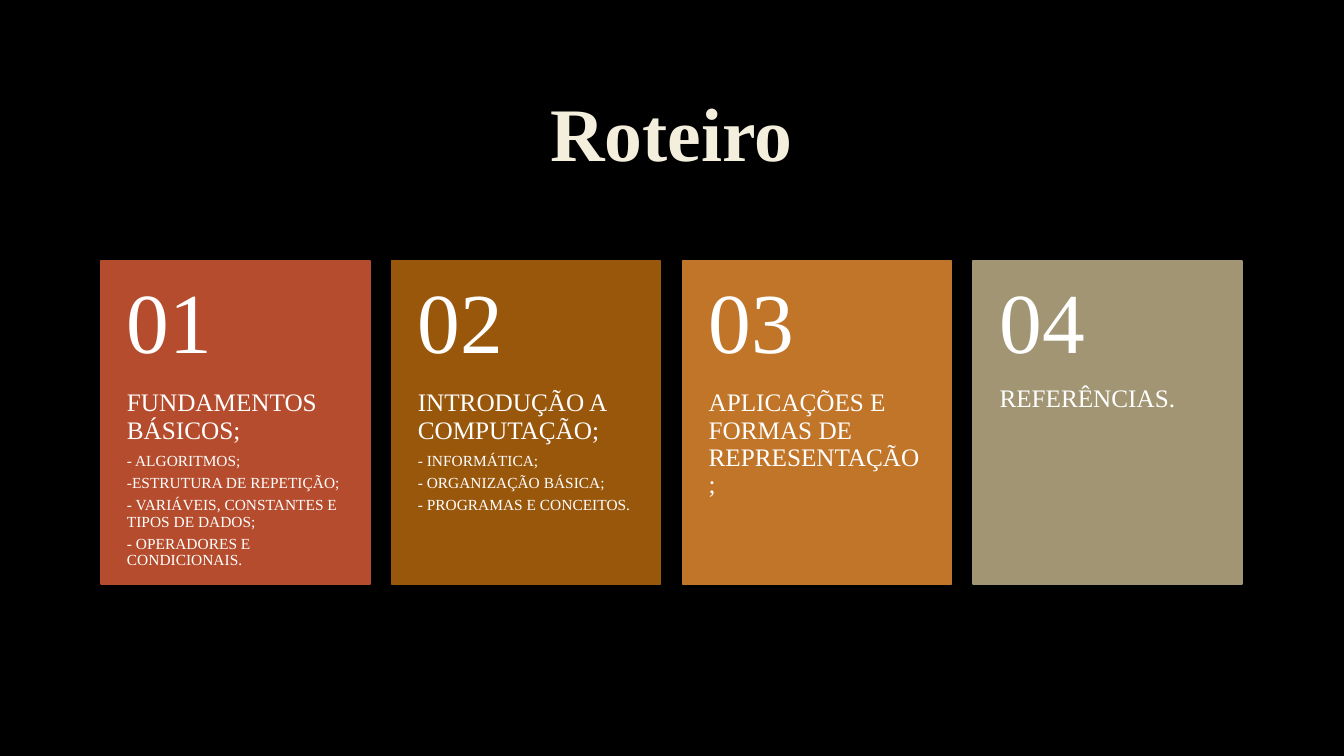
"""Build the agenda slide: a title above four numbered topic cards."""
from dataclasses import dataclass

from pptx import Presentation
from pptx.dml.color import RGBColor
from pptx.enum.shapes import MSO_SHAPE
from pptx.enum.text import MSO_ANCHOR, PP_ALIGN
from pptx.util import Cm, Pt

RECTANGLE = MSO_SHAPE.RECTANGLE
TOP, MIDDLE = MSO_ANCHOR.TOP, MSO_ANCHOR.MIDDLE
LEFT, CENTER = PP_ALIGN.LEFT, PP_ALIGN.CENTER


@dataclass(frozen=True)
class Theme:
    """Colours, font and type sizes of the slide."""
    font: str = "Times New Roman"
    background: str = "000000"
    title: str = "F4EEDC"
    text: str = "FFFFFF"
    cards: tuple = ("B54C2D", "99570C", "C17529", "A19574")
    title_size: int = 54
    number_size: int = 61
    topic_size: int = 18
    detail_size: int = 11
    line_spacing: float = 0.9
    space_after: float = 0.35


THEME = Theme()
CARD_LEFT, CARD_TOP, CARD_PITCH = 2.54, 6.58, 7.33
CARD_WIDTH, NUMBER_HEIGHT, TOPIC_HEIGHT = 6.78, 3.25, 4.88
TITLE_INSETS = (0.25, 0.13, 0.25, 0.13)
NUMBER_INSETS = (0.66, 0.46, 0.66, 0.46)
TOPIC_INSETS = (0.66, 0, 0.66, 0.91)
TOPICS = (
    ("FUNDAMENTOS BÁSICOS;", "- ALGORITMOS;", "-ESTRUTURA DE REPETIÇÃO;",
     "- VARIÁVEIS, CONSTANTES E TIPOS DE DADOS;",
     "- OPERADORES E CONDICIONAIS."),
    ("INTRODUÇÃO A COMPUTAÇÃO;", "- INFORMÁTICA;", "- ORGANIZAÇÃO BÁSICA;",
     "- PROGRAMAS E CONCEITOS."),
    ("APLICAÇÕES E FORMAS DE REPRESENTAÇÃO;",),
    ("REFERÊNCIAS.",),
)


def add_text(page, area, lines, sizes, insets, anchor, color=THEME.text,
             align=LEFT, bold=False):
    """Add a wrapped text box with one paragraph per line and return it."""
    box = page.shapes.add_textbox(*map(Cm, area))
    frame = box.text_frame
    frame.word_wrap = True
    frame.vertical_anchor = anchor
    (frame.margin_left, frame.margin_top,
     frame.margin_right, frame.margin_bottom) = map(Cm, insets)
    frame.text = "\n".join(lines)
    for para, size in zip(frame.paragraphs, sizes):
        para.alignment = align
        para.line_spacing = THEME.line_spacing
        para.space_after = Pt(size * THEME.space_after)
        for span in para.runs:
            span.font.name = THEME.font
            span.font.size = Pt(size)
            span.font.bold = bold
            span.font.color.rgb = RGBColor.from_string(color)
    return box


def add_panel(page, area, color):
    """Add a plain filled rectangle with a line of the same colour."""
    panel = page.shapes.add_shape(RECTANGLE, *map(Cm, area))
    panel.shadow.inherit = False
    panel.fill.solid()
    panel.fill.fore_color.rgb = RGBColor.from_string(color)
    panel.line.color.rgb = RGBColor.from_string(color)
    panel.line.width = Pt(1.25)


def add_card(page, index, color, lines):
    """Add one card: its panel, its topic with details, and its number."""
    left = CARD_LEFT + index * CARD_PITCH
    add_panel(page, (left, CARD_TOP, CARD_WIDTH, NUMBER_HEIGHT + TOPIC_HEIGHT),
              color)
    sizes = [THEME.topic_size] + [THEME.detail_size] * (len(lines) - 1)
    add_text(page, (left, CARD_TOP + NUMBER_HEIGHT, CARD_WIDTH, TOPIC_HEIGHT),
             lines, sizes, TOPIC_INSETS, TOP)
    add_text(page, (left, CARD_TOP, CARD_WIDTH, NUMBER_HEIGHT),
             [f"{index + 1:02d}"], [THEME.number_size], NUMBER_INSETS, MIDDLE)


def main():
    """Create the deck and save it."""
    deck = Presentation()
    deck.slide_width, deck.slide_height = Cm(33.87), Cm(19.05)
    page = deck.slides.add_slide(deck.slide_layouts[6])
    page.background.fill.solid()
    page.background.fill.fore_color.rgb = RGBColor.from_string(THEME.background)
    add_text(page, (2.54, 1.7, 28.75, 3.51), ["Roteiro"], [THEME.title_size],
             TITLE_INSETS, MIDDLE, THEME.title, CENTER, True)
    for index, (color, lines) in enumerate(zip(THEME.cards, TOPICS)):
        add_card(page, index, color, lines)
    deck.save("out.pptx")


if __name__ == "__main__":
    main()
